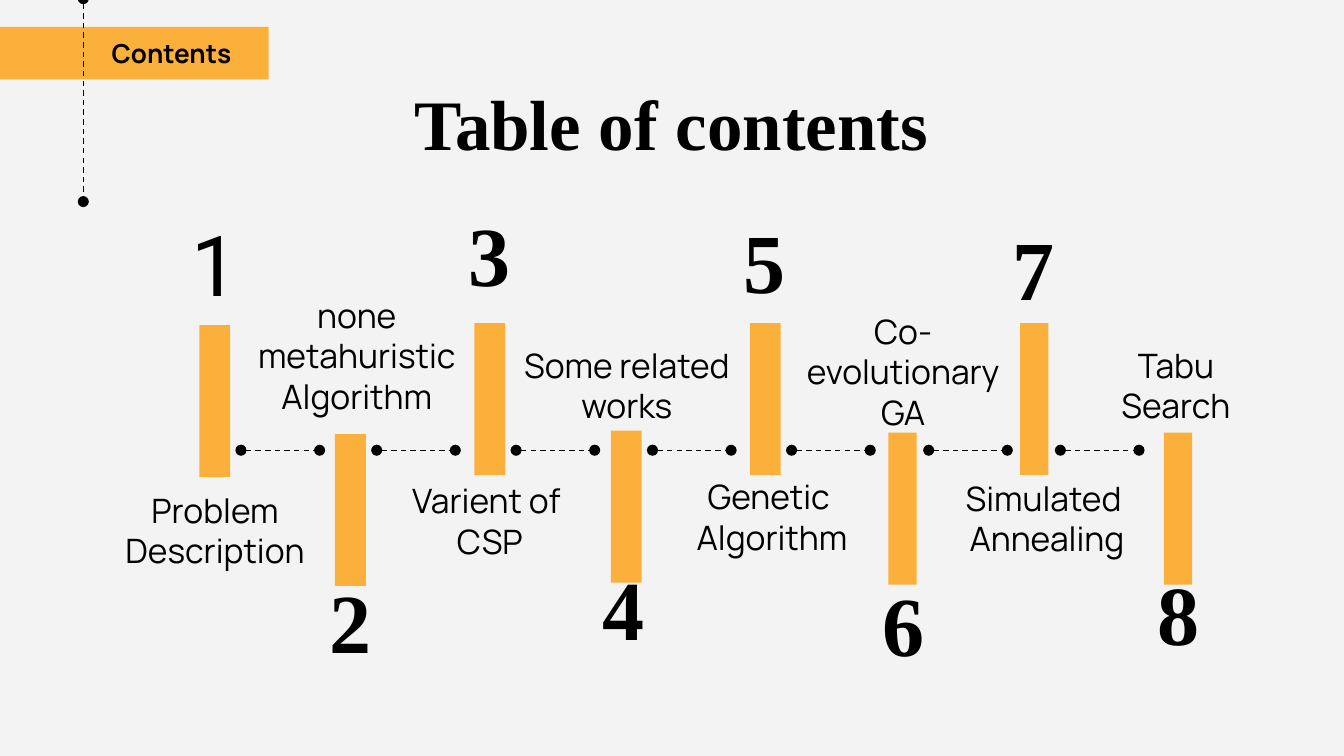
from dataclasses import dataclass

from lxml import etree
from pptx import Presentation
from pptx import util as u
from pptx.dml.color import RGBColor
from pptx.enum import dml, shapes, text
from pptx.oxml.ns import qn


@dataclass(frozen=True)
class Theme:
    paper: RGBColor = RGBColor.from_string("F3F3F3")
    accent: RGBColor = RGBColor.from_string("FBB03B")
    ink: RGBColor = RGBColor.from_string("000000")
    body: str = "Manrope"
    heading: str = "Times New Roman"
    first_number: str = "Roboto"
    tag_size: int = 14
    title_size: int = 38
    label_size: int = 18
    number_size: int = 45
    line_width: float = 0.75


THEME = Theme()
MIDDLE, TOP, BOTTOM = (text.MSO_ANCHOR.MIDDLE, text.MSO_ANCHOR.TOP,
                       text.MSO_ANCHOR.BOTTOM)
CENTER, RIGHT = text.PP_ALIGN.CENTER, text.PP_ALIGN.RIGHT

# Content; places are in grid cells, 100 columns across the slide
TAG = "Contents"
TITLE = "Table of contents"
# label lines, bar centre, bar top, bar width, number centre, number top,
# number anchor, label centre, label top, label width
CHAPTERS = [
    (["Problem", "Description"],
     15.98, 24.2, 2.3, 16.0, 16.9, MIDDLE, 16.0, 37.3, 16.2),
    (["none metahuristic Algorithm"],
     26.08, 32.3, 2.3, 26.1, 45.6, BOTTOM, 26.55, 24.3, 21.7),
    (["Varient of ", "CSP"],
     36.45, 24.05, 2.3, 36.4, 16.2, MIDDLE, 36.45, 36.6, 21.7),
    (["Some related works"],
     46.6, 32.05, 2.3, 46.4, 44.6, BOTTOM, 46.65, 26.5, 21.7),
    (["Genetic ", "Algorithm"],
     56.95, 24.05, 2.3, 56.9, 16.7, MIDDLE, 57.45, 36.3, 21.7),
    (["Co-evolutionary", "GA"],
     67.15, 32.2, 2.1, 67.2, 43.7, MIDDLE, 67.2, 25.5, 19.4),
    (["Simulated ", "Annealing"],
     76.95, 24.05, 2.1, 76.9, 17.2, MIDDLE, 77.9, 36.4, 19.4),
    (["Tabu", "Search"],
     87.65, 32.2, 2.1, 87.7, 42.9, MIDDLE, 87.5, 26.5, 19.4),
]
BAR_HEIGHT = 11.3
NUMBER_WIDTH, NUMBER_HEIGHT = 8.8, 5.3
LABEL_HEIGHT = 4.3
LINK_ROW, LINK_OFFSET, LINK_LENGTH = 33.5, 1.95, 5.85

deck = Presentation()
deck.slide_width = u.Inches(10)
deck.slide_height = deck.slide_width * 9 // 16
slide = deck.slides.add_slide(deck.slide_layouts[6])
slide.background.fill.solid()
slide.background.fill.fore_color.rgb = THEME.paper


def cells(*counts):
    return [round(deck.slide_width * count / 100) for count in counts]


def add_block(left, top, width, height):
    block = slide.shapes.add_shape(shapes.MSO_SHAPE.RECTANGLE,
                                   *cells(left, top, width, height))
    block.shadow.inherit = False
    block.fill.solid()
    block.fill.fore_color.rgb = THEME.accent
    block.line.fill.background()


def add_dotted_link(x1, y1, x2, y2):
    link = slide.shapes.add_connector(shapes.MSO_CONNECTOR.STRAIGHT,
                                      *cells(x1, y1, x2, y2))
    link.line.color.rgb = THEME.ink
    link.line.width = u.Pt(THEME.line_width)
    link.line.dash_style = dml.MSO_LINE.DASH
    outline = link.line._get_or_add_ln()
    for end in ("a:headEnd", "a:tailEnd"):
        etree.SubElement(outline, qn(end), type="oval")
    etree.SubElement(link._element.spPr, qn("a:effectLst"))


def add_text(lines, left, top, width, height, size, font,
             bold=False, align=CENTER, anchor=MIDDLE):
    frame = slide.shapes.add_textbox(
        *cells(left, top, width, height)).text_frame
    frame.word_wrap = True
    frame.vertical_anchor = anchor
    frame.margin_left = frame.margin_right = u.Inches(0.1)
    frame.margin_top = frame.margin_bottom = u.Inches(0.1)
    frame.text = "\n".join(lines)
    for paragraph in frame.paragraphs:
        paragraph.alignment = align
        paragraph.font.size = u.Pt(size)
        paragraph.font.name = font
        paragraph.font.bold = bold
        paragraph.font.color.rgb = THEME.ink


# Corner tag and title
add_block(-0.6, 2, 20.6, 3.9)
add_dotted_link(6.2, -0.1, 6.2, 15)
add_text([TAG], 0.3, 2.1, 17.9, 3.7, THEME.tag_size, THEME.body,
         bold=True, align=RIGHT)
add_text([TITLE], 6.2, 4.9, 87.5, 6.3, THEME.title_size, THEME.heading,
         bold=True, anchor=TOP)

# Chapters: bar, number, label and the link to the next bar
for number, (label, bar_x, bar_top, bar_width,
             number_x, number_top, number_anchor,
             label_x, label_top, label_width) in enumerate(CHAPTERS, 1):
    add_block(bar_x - bar_width / 2, bar_top, bar_width, BAR_HEIGHT)
    is_first = number == 1
    add_text([str(number)], number_x - NUMBER_WIDTH / 2, number_top,
             NUMBER_WIDTH, NUMBER_HEIGHT, THEME.number_size,
             THEME.first_number if is_first else THEME.heading,
             bold=not is_first, anchor=number_anchor)
    add_text(label, label_x - label_width / 2, label_top,
             label_width, LABEL_HEIGHT, THEME.label_size, THEME.body)
    if number < len(CHAPTERS):
        link_x = bar_x + LINK_OFFSET
        add_dotted_link(link_x, LINK_ROW, link_x + LINK_LENGTH, LINK_ROW)

deck.save("out.pptx")
